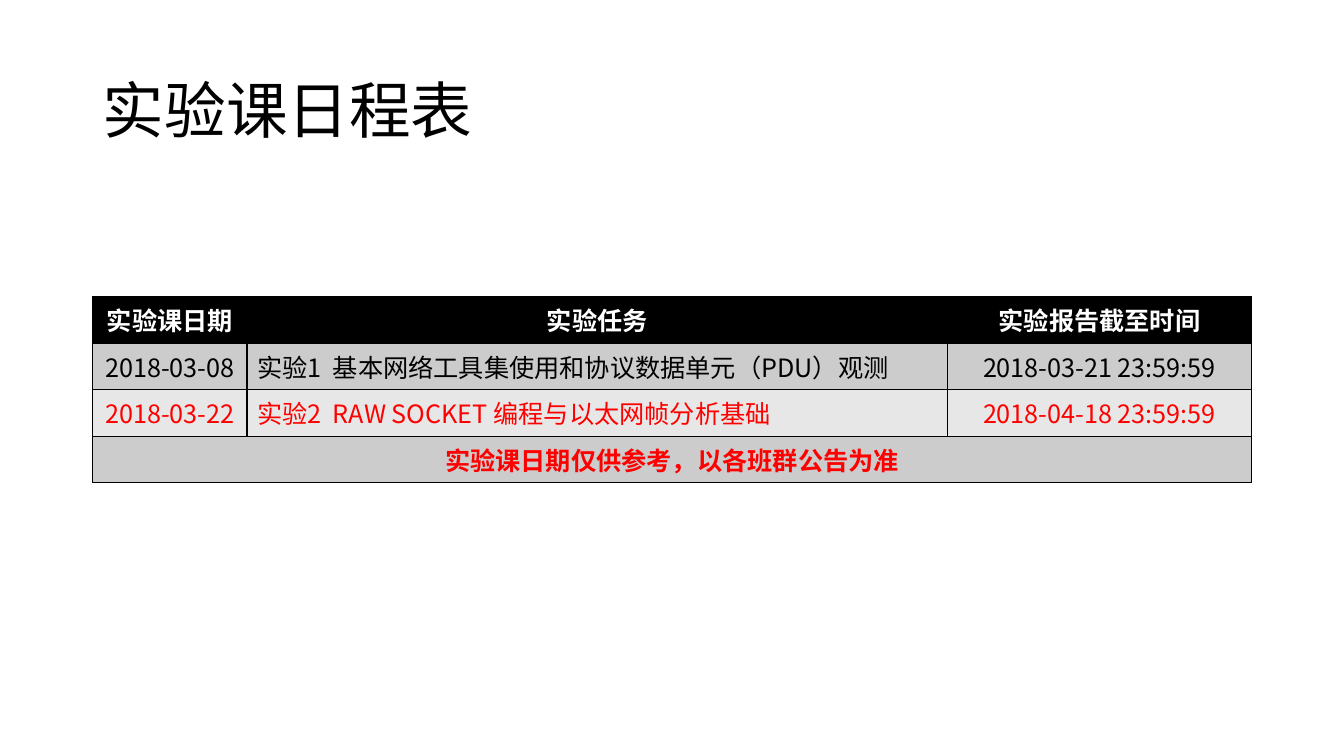
from dataclasses import dataclass

from lxml import etree
from pptx import Presentation
from pptx.dml.color import RGBColor
from pptx.enum.text import MSO_ANCHOR, PP_ALIGN
from pptx.oxml.ns import qn
from pptx.util import Inches, Pt

LEFT, CENTER = PP_ALIGN.LEFT, PP_ALIGN.CENTER
MIDDLE = MSO_ANCHOR.MIDDLE
TITLE_ONLY = 5


@dataclass(frozen=True)
class Theme:
    """Colours, font and type sizes of the slide."""
    font: str = "Noto Sans CJK SC"
    black: str = "000000"
    white: str = "FFFFFF"
    red: str = "FF0000"
    dark_band: str = "CCCCCC"
    light_band: str = "E7E7E7"
    title_size: int = 44
    table_size: int = 18
    border: int = 1


THEME = Theme()
WIDTH, HEIGHT = 13.33, 7.5
MARGIN = 0.92
TABLE_TOP, ROW_HEIGHT = 2.94, 0.41
COLUMN_WIDTHS = (1.53, 6.95, 3.01)
COLUMN_ALIGNS = (CENTER, LEFT, CENTER)
TITLE = "实验课日程表"
HEADER = ("实验课日期", "实验任务", "实验报告截至时间")
PAST_LAB = ("2018-03-08", "实验1  基本网络工具集使用和协议数据单元（PDU）观测", "2018-03-21 23:59:59")
NEXT_LAB = ("2018-03-22", "实验2  RAW SOCKET 编程与以太网帧分析基础", "2018-04-18 23:59:59")
NOTICE = ("实验课日期仅供参考，以各班群公告为准", "", "")


def write_text(frame, text, *, size, color, bold=False, align=LEFT, spacing=1.0):
    """Write one formatted paragraph into a text frame."""
    paragraph = frame.paragraphs[0]
    paragraph.alignment = align
    paragraph.line_spacing = spacing
    run = paragraph.add_run()
    run.text = text
    run.font.size = Pt(size)
    run.font.bold = bold
    run.font.name = THEME.font
    run.font.color.rgb = RGBColor.from_string(color)
    east_asian = etree.SubElement(run.font._element, qn("a:ea"))
    east_asian.set("typeface", THEME.font)


def add_borders(cell):
    """Draw a thin solid line on each side of a table cell."""
    properties = cell._tc.get_or_add_tcPr()
    for position, side in enumerate(("a:lnL", "a:lnR", "a:lnT", "a:lnB")):
        line = etree.Element(qn(side), w=str(Pt(THEME.border)))
        fill = etree.SubElement(line, qn("a:solidFill"))
        etree.SubElement(fill, qn("a:srgbClr"), val=THEME.black)
        properties.insert(position, line)


def add_title(slide, text):
    """Place and format the title placeholder."""
    title = slide.shapes.title
    title.left, title.top = Inches(MARGIN), Inches(0.4)
    title.width, title.height = Inches(WIDTH - 2 * MARGIN), Inches(1.45)
    title.text_frame.vertical_anchor = MIDDLE
    write_text(title.text_frame, text, size=THEME.title_size, color=THEME.black, spacing=0.9)


def fill_row(cells, texts, *, fill, color, bold=False, aligns=COLUMN_ALIGNS):
    """Fill, outline and write the cells of one table row."""
    for cell, text, align in zip(cells, texts, aligns):
        cell.fill.solid()
        cell.fill.fore_color.rgb = RGBColor.from_string(fill)
        cell.vertical_anchor = MIDDLE
        add_borders(cell)
        if text:
            write_text(cell.text_frame, text, size=THEME.table_size,
                       color=color, bold=bold, align=align)


def add_schedule(slide):
    """Add the timetable with its header, labs and closing notice."""
    centered = (CENTER,) * len(COLUMN_WIDTHS)
    rows = (
        (HEADER, dict(fill=THEME.black, color=THEME.white, bold=True, aligns=centered)),
        (PAST_LAB, dict(fill=THEME.dark_band, color=THEME.black)),
        (NEXT_LAB, dict(fill=THEME.light_band, color=THEME.red)),
        (NOTICE, dict(fill=THEME.dark_band, color=THEME.red, bold=True, aligns=centered)),
    )
    table = slide.shapes.add_table(
        len(rows), len(COLUMN_WIDTHS), Inches(MARGIN), Inches(TABLE_TOP),
        Inches(sum(COLUMN_WIDTHS)), Inches(ROW_HEIGHT * len(rows))).table
    for column, width in zip(table.columns, COLUMN_WIDTHS):
        column.width = Inches(width)
    for row, (texts, style) in zip(table.rows, rows):
        row.height = Inches(ROW_HEIGHT)
        fill_row(row.cells, texts, **style)
    last = len(rows) - 1
    table.cell(last, 0).merge(table.cell(last, len(COLUMN_WIDTHS) - 1))


def main():
    """Build the timetable slide and save it."""
    presentation = Presentation()
    presentation.slide_width, presentation.slide_height = Inches(WIDTH), Inches(HEIGHT)
    slide = presentation.slides.add_slide(presentation.slide_layouts[TITLE_ONLY])
    add_title(slide, TITLE)
    add_schedule(slide)
    presentation.save("out.pptx")


main()
